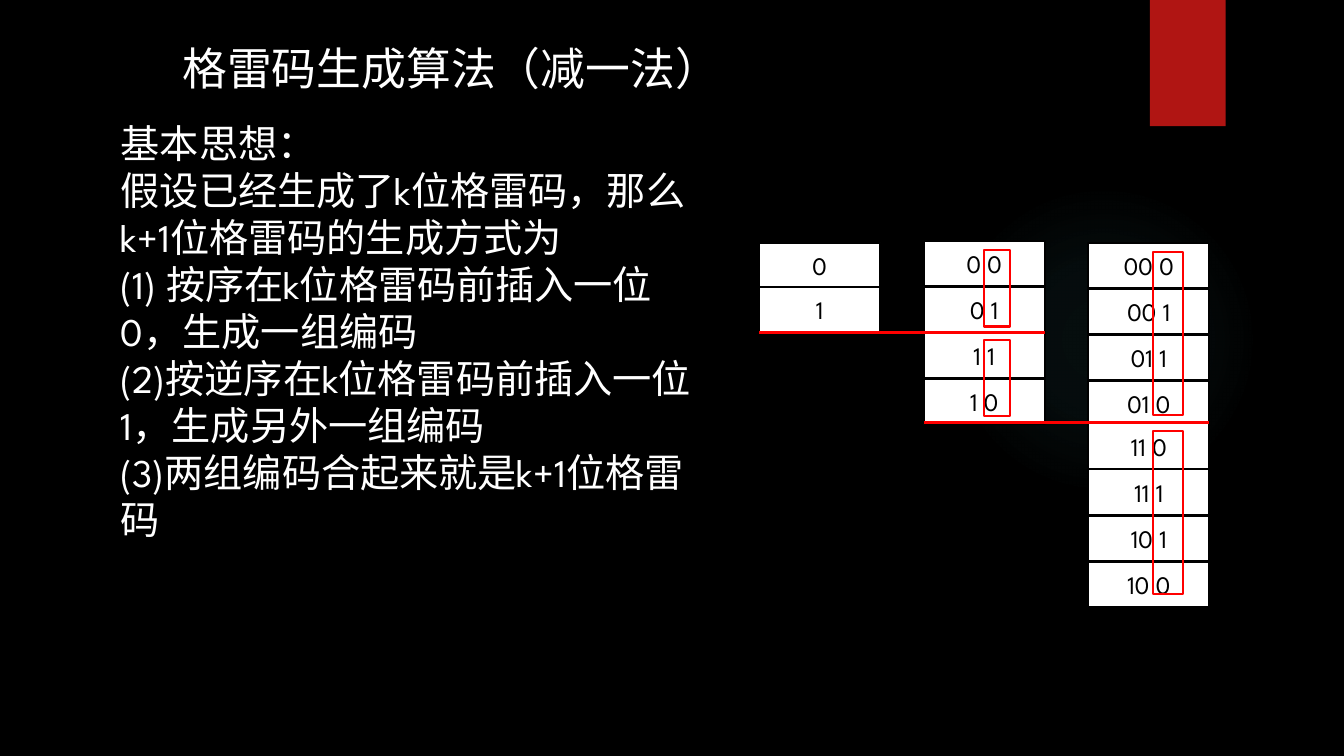
"""Build the slide on generating Gray codes by reflection."""
import pptx
import pptx.dml.color
import pptx.enum.shapes
import pptx.enum.text
import pptx.oxml
import pptx.oxml.ns
import pptx.util

Cm = pptx.util.Cm
Pt = pptx.util.Pt
RGBColor = pptx.dml.color.RGBColor
SHAPES = pptx.enum.shapes.MSO_SHAPE
ALIGN = pptx.enum.text.PP_ALIGN
ANCHOR = pptx.enum.text.MSO_ANCHOR
AUTO_SIZE = pptx.enum.text.MSO_AUTO_SIZE

BLACK = RGBColor(0x00, 0x00, 0x00)
WHITE = RGBColor(0xFF, 0xFF, 0xFF)
RED = RGBColor(0xFF, 0x00, 0x00)
RIBBON_RED = RGBColor(0xB0, 0x15, 0x13)
GLOW_TEAL = RGBColor(0x50, 0xB9, 0xC1)

FONT = "League Spartan"
TITLE_FONT = {"name": FONT, "size": Pt(32), "bold": False}
BODY_FONT = {"name": FONT, "size": Pt(28)}
CODE_FONT = {"name": FONT, "size": Pt(18)}
TITLE_FRAME = {"word_wrap": False, "auto_size": AUTO_SIZE.SHAPE_TO_FIT_TEXT}
BODY_FRAME = {"word_wrap": True, "auto_size": AUTO_SIZE.SHAPE_TO_FIT_TEXT,
              "vertical_anchor": ANCHOR.TOP}
CODE_FRAME = {"word_wrap": True, "vertical_anchor": ANCHOR.MIDDLE}
PLAIN_PARAGRAPH = {"alignment": ALIGN.LEFT, "space_before": Pt(0),
                   "space_after": Pt(0), "line_spacing": 1.0}

TITLE = "格雷码生成算法（减一法）"
IDEA = [
    "基本思想：",
    "假设已经生成了k位格雷码，那么k+1位格雷码的生成方式为",
    "(1) 按序在k位格雷码前插入一位0，生成一组编码",
    "(2)按逆序在k位格雷码前插入一位1，生成另外一组编码",
    "(3)两组编码合起来就是k+1位格雷码",
]

CELL_WIDTH, CELL_HEIGHT, COLUMN_PITCH = 3.05, 1.14, 4.15
COLUMNS = [
    {"top": 0.05, "row": 1.12, "half": 1.12, "rule": 2.31},
    {"top": 0, "row": 1.16, "half": 2.32, "rule": 4.57,
     "frame": (1.52, 0.23, 0.66, 1.93), "frame_pitch": 2.26},
    {"top": 0.05, "row": 1.16, "half": 4.55,
     "frame": (1.63, 0.23, 0.76, 4.11), "frame_pitch": 4.52},
]


def apply_format(target, values):
    """Set each named attribute of the target."""
    for name, value in values.items():
        setattr(target, name, value)


def add_block(slide, preset, box, fill=None, line=None):
    """Add a preset shape in a box of centimetres."""
    block = slide.shapes.add_shape(preset, *map(Cm, box))
    block.shadow.inherit = False
    if fill is None:
        block.fill.background()
    else:
        block.fill.solid()
        block.fill.fore_color.rgb = fill
    if line is None:
        block.line.fill.background()
    else:
        block.line.color.rgb = line
        block.line.width = Pt(1.5)
    return block


def draw_glow(slide, box):
    """Draw the faint radial glow behind the codes."""
    glow = add_block(slide, SHAPES.OVAL, box, GLOW_TEAL)
    stops = "".join(
        f'<a:gs pos="{place * 1000}"><a:srgbClr val="{GLOW_TEAL}">'
        f'<a:alpha val="{alpha * 1000}"/></a:srgbClr></a:gs>'
        for place, alpha in [(0, 7), (36, 6), (69, 0)])
    gradient = pptx.oxml.parse_xml(
        f'<a:gradFill {pptx.oxml.ns.nsdecls("a")}><a:gsLst>{stops}</a:gsLst>'
        '<a:path path="circle"><a:fillToRect l="50000" t="50000" r="50000" '
        'b="50000"/></a:path></a:gradFill>')
    properties = glow.element.spPr
    properties.replace(properties.find(pptx.oxml.ns.qn("a:solidFill")), gradient)


def draw_ribbon(slide, box):
    """Draw the red ribbon with its soft shadow."""
    ribbon = add_block(slide, SHAPES.RECTANGLE, box, RIBBON_RED)
    effects = ribbon.element.spPr.find(pptx.oxml.ns.qn("a:effectLst"))
    effects.append(pptx.oxml.parse_xml(
        f'<a:outerShdw {pptx.oxml.ns.nsdecls("a")} blurRad="{Pt(3)}" '
        f'dist="{Pt(2)}" dir="5400000" rotWithShape="0"><a:srgbClr val="{BLACK}">'
        '<a:alpha val="45000"/></a:srgbClr></a:outerShdw>'))


def fill_placeholder(holder, box, lines, frame_format, font_format):
    """Place a placeholder and write plain lines without bullets."""
    sides = ("left", "top", "width", "height")
    apply_format(holder, dict(zip(sides, map(Cm, box))))
    frame = holder.text_frame
    frame.text = "\n".join(lines)
    apply_format(frame, frame_format)
    for paragraph in frame.paragraphs:
        apply_format(paragraph, PLAIN_PARAGRAPH)
        properties = paragraph._p.get_or_add_pPr()
        properties.set("marL", "0")
        properties.set("indent", "0")
        properties.append(pptx.oxml.parse_xml(
            f'<a:buNone {pptx.oxml.ns.nsdecls("a")}/>'))
        for run in paragraph.runs:
            apply_format(run.font, font_format)
            run.font.color.rgb = WHITE


def draw_code(slide, box, code):
    """Draw one code with its last bit set apart."""
    cell = add_block(slide, SHAPES.RECTANGLE, box, WHITE, BLACK)
    frame = cell.text_frame
    apply_format(frame, CODE_FRAME)
    paragraph = frame.paragraphs[0]
    paragraph.alignment = ALIGN.CENTER
    run = paragraph.add_run()
    run.text = f"{code[:-1]} {code[-1]}".strip()
    apply_format(run.font, CODE_FONT)
    run.font.color.rgb = BLACK


def draw_rule(slide, left, top, width):
    """Draw the red mirror line under a column of codes."""
    rule = slide.shapes.add_connector(
        pptx.enum.shapes.MSO_CONNECTOR.STRAIGHT,
        Cm(left), Cm(top), Cm(left + width), Cm(top))
    rule.line.color.rgb = RED
    rule.line.width = Pt(2.5)
    rule.element.spPr.append(pptx.oxml.parse_xml(
        f'<a:effectLst {pptx.oxml.ns.nsdecls("a")}/>'))


def draw_gray_codes(slide, left, top):
    """Draw the columns of codes, then their mirror lines and frames."""
    codes = [""]
    for index, column in enumerate(COLUMNS):
        codes = (["0" + code for code in codes]
                 + ["1" + code for code in reversed(codes)])
        for position, code in enumerate(codes):
            half, row = divmod(position, len(codes) // 2)
            offset = column["top"] + half * column["half"] + row * column["row"]
            draw_code(slide, (left + index * COLUMN_PITCH, top + offset,
                              CELL_WIDTH, CELL_HEIGHT), code)
    for index, column in enumerate(COLUMNS):
        column_left = left + index * COLUMN_PITCH
        if "rule" in column:
            draw_rule(slide, column_left, top + column["rule"],
                      COLUMN_PITCH + CELL_WIDTH)
        if "frame" in column:
            dx, dy, width, height = column["frame"]
            for half in range(2):
                frame_top = top + column["top"] + dy + half * column["frame_pitch"]
                add_block(slide, SHAPES.RECTANGLE,
                          (column_left + dx, frame_top, width, height), line=RED)


def main():
    """Build and save the slide."""
    deck = pptx.Presentation()
    apply_format(deck, {"slide_width": Cm(33.87), "slide_height": Cm(19.05)})
    slide = deck.slides.add_slide(deck.slide_layouts[1])
    slide.background.fill.solid()
    slide.background.fill.fore_color.rgb = BLACK
    draw_glow(slide, (23.9, 4.65, 7.82, 7.82))
    draw_ribbon(slide, (28.98, 0, 1.91, 3.18))
    fill_placeholder(slide.shapes.title, (4.34, 0.89, 14.2, 1.63),
                     [TITLE], TITLE_FRAME, TITLE_FONT)
    fill_placeholder(slide.placeholders[1], (2.79, 2.87, 15.06, 11.02),
                     IDEA, BODY_FRAME, BODY_FONT)
    draw_gray_codes(slide, 19.13, 6.07)
    deck.save("out.pptx")


if __name__ == "__main__":
    main()
